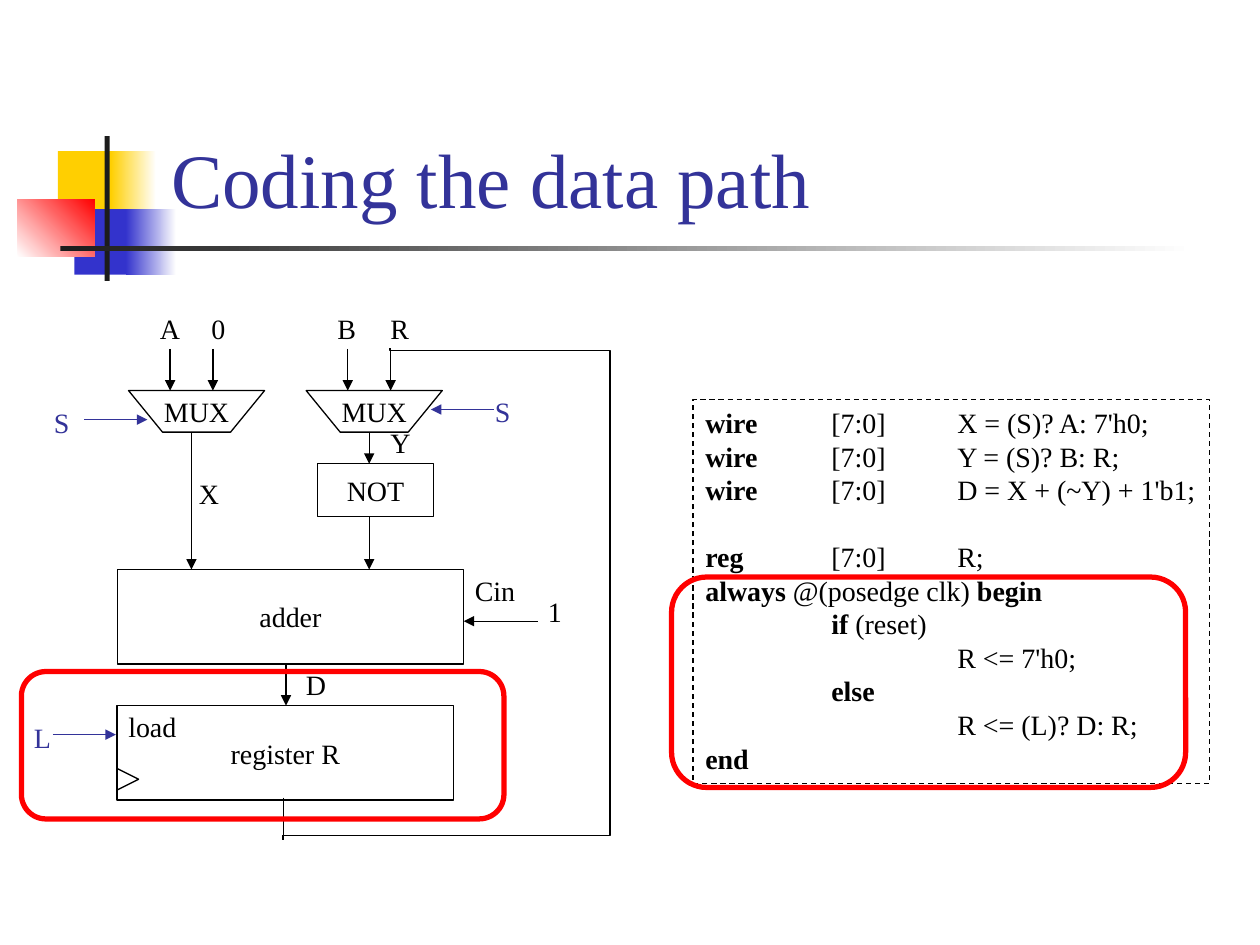
"""Build the slide on coding a data path: block diagram and Verilog listing."""
from lxml import etree
from pptx import Presentation
from pptx.dml.color import RGBColor
from pptx.enum.dml import MSO_LINE
from pptx.enum.shapes import MSO_CONNECTOR, MSO_SHAPE
from pptx.enum.text import MSO_ANCHOR, MSO_AUTO_SIZE, PP_ALIGN
from pptx.oxml.ns import qn
from pptx.util import Inches, Pt

RECT, ROUND, TRIANGLE = MSO_SHAPE.RECTANGLE, MSO_SHAPE.ROUNDED_RECTANGLE, MSO_SHAPE.ISOSCELES_TRIANGLE
STRAIGHT, ELBOW = MSO_CONNECTOR.STRAIGHT, MSO_CONNECTOR.ELBOW
FONT = "Times New Roman"
COLORS = {k: RGBColor.from_string(v) for k, v in {
    "black": "000000", "white": "FFFFFF", "navy": "333399", "blue": "3333CC",
    "yellow": "FFCF01", "red": "FF0000", "dark": "1C1C1C"}.items()}

prs = Presentation()
prs.slide_width, prs.slide_height = Inches(10), Inches(7.5)
s = prs.slides.add_slide(prs.slide_layouts[6])


def outline(sp, text="", color="black", width=0.75):
    sp.shadow.inherit = False
    sp.fill.background()
    sp.line.color.rgb = COLORS[color]
    sp.line.width = Pt(width)
    tf = sp.text_frame
    tf.word_wrap = False
    tf.vertical_anchor = MSO_ANCHOR.MIDDLE
    p = tf.paragraphs[0]
    p.text = text
    p.alignment = PP_ALIGN.CENTER
    p.font.name, p.font.size = FONT, Pt(16)
    p.font.color.rgb = COLORS["black"]
    return sp


def connect(x1, y1, x2, y2, color="black", arrow=True, kind=STRAIGHT):
    c = s.shapes.add_connector(kind, Inches(x1), Inches(y1), Inches(x2), Inches(y2))
    c.line.color.rgb = COLORS[color]
    c.line.width = Pt(0.75)
    if arrow:
        etree.SubElement(c.line._get_or_add_ln(), qn("a:tailEnd"), type="triangle")
    etree.SubElement(c._element.spPr, qn("a:effectLst"))
    return c


for x, y, w, h, start, end, angle in [
    (0.46, 1.2, 0.48, 0.52, "yellow", None, 0),
    (0.88, 1.2, 0.36, 0.52, "yellow", "white", 0),
    (0.59, 1.66, 0.46, 0.52, "blue", None, 0),
    (1, 1.66, 0.4, 0.52, "blue", "white", 0),
    (0.14, 1.58, 0.61, 0.46, "white", "red", 45),
    (0.83, 1.08, 0.04, 1.15, "dark", None, 0),
    (0.48, 1.95, 9, 0.04, "dark", "white", 0),
]:
    sp = s.shapes.add_shape(RECT, Inches(x), Inches(y), Inches(w), Inches(h))
    sp.shadow.inherit = False
    sp.line.fill.background()
    if end:
        sp.fill.gradient()
        sp.fill.gradient_angle = angle
        for stop, color in zip(sp.fill.gradient_stops, (start, end)):
            stop.color.rgb = COLORS[color]
    else:
        sp.fill.solid()
        sp.fill.fore_color.rgb = COLORS[start]

sp = s.shapes.add_textbox(Inches(1.26), Inches(0.23), Inches(8.52), Inches(1.6))
tf = sp.text_frame
tf.word_wrap = True
tf.vertical_anchor = MSO_ANCHOR.BOTTOM
p = tf.paragraphs[0]
p.text = "Coding the data path"
p.font.name, p.font.size = FONT, Pt(44)
p.font.color.rgb = COLORS["navy"]

for x in (1.02, 2.43):
    fb = s.shapes.build_freeform(Inches(x), Inches(3.1))
    fb.add_line_segments([(Inches(x + dx), Inches(y)) for dx, y in
                          ((0.27, 3.43), (0.81, 3.43), (1.08, 3.1))], close=True)
    outline(fb.convert_to_shape(), "MUX")
    for dx in (0.33, 0.67):
        connect(x + dx, 2.77, x + dx, 3.1)

for x, y, w, h, text in [
    (2.52, 3.68, 0.92, 0.42, "NOT"),
    (0.93, 4.52, 2.75, 0.75, "adder"),
    (0.93, 5.6, 2.67, 0.75, "register R"),
]:
    outline(s.shapes.add_shape(RECT, Inches(x), Inches(y), Inches(w), Inches(h)), text)

sp = s.shapes.add_shape(TRIANGLE, Inches(0.93), Inches(6.1), Inches(0.17), Inches(0.17))
outline(sp).rotation = 90

for ends in [(1.52, 3.43, 1.52, 4.52), (2.93, 3.43, 2.93, 3.68), (2.93, 4.1, 2.93, 4.52),
             (4.27, 4.93, 3.68, 4.93), (2.27, 5.27, 2.27, 5.6)]:
    connect(*ends)
for ends in [(0.42, 5.83, 0.92, 5.83), (0.67, 3.33, 1.17, 3.33), (3.92, 3.25, 3.42, 3.25)]:
    connect(*ends, color="navy")
connect(2.25, 6.33, 2.25, 6.67, arrow=False)

feedback = connect(4.62, 5.14, 0.72, 4.29, arrow=False, kind=ELBOW)
feedback._element.spPr.xfrm.set("rot", "16200000")
geom = feedback._element.spPr.find(qn("a:prstGeom"))
geom.set("prst", "bentConnector5")
guides = geom.find(qn("a:avLst"))
if guides is None:
    guides = etree.SubElement(geom, qn("a:avLst"))
for i, value in enumerate((400, -205500, 99200), 1):
    etree.SubElement(guides, qn("a:gd"), name=f"adj{i}", fmla=f"val {value}")

for text, x, y, w, color in [
    ("A", 1.17, 2.42, 0.36, "black"), ("0", 1.58, 2.42, 0.31, "black"),
    ("B", 2.58, 2.42, 0.35, "black"), ("R", 3, 2.42, 0.35, "black"),
    ("X", 1.48, 3.73, 0.36, "black"), ("Y", 3, 3.33, 0.36, "black"),
    ("Cin", 3.67, 4.5, 0.52, "black"), ("1", 4.25, 4.67, 0.31, "black"),
    ("D", 2.33, 5.25, 0.36, "black"), ("load", 0.92, 5.58, 0.59, "black"),
    ("L", 0.17, 5.67, 0.34, "navy"), ("S", 0.33, 3.17, 0.32, "navy"),
    ("S", 3.83, 3.08, 0.32, "navy"),
]:
    tf = s.shapes.add_textbox(Inches(x), Inches(y), Inches(w), Inches(0.37)).text_frame
    tf.word_wrap = False
    tf.auto_size = MSO_AUTO_SIZE.SHAPE_TO_FIT_TEXT
    p = tf.paragraphs[0]
    p.text = text
    p.font.name, p.font.size = FONT, Pt(16)
    p.font.color.rgb = COLORS[color]

CODE = [
    ("wire", "\t[7:0]\tX = (S)? A: 7'h0;"),
    ("wire", "\t[7:0]\tY = (S)? B: R;"),
    ("wire", "\t[7:0]\tD = X + (~Y) + 1'b1;"),
    ("reg", "\t[7:0]\tR;"),
    ("always", " @(posedge clk) ", "begin"),
    ("", "\t", "if", " (reset)"),
    ("", "\t\tR <= 7'h0;"),
    ("", "\t", "else"),
    ("", "\t\tR <= (L)? D: R;"),
    ("end",),
]
sp = outline(s.shapes.add_shape(RECT, Inches(5.5), Inches(3.17), Inches(4.1), Inches(3.05)))
sp.line.dash_style = MSO_LINE.DASH
tf = sp.text_frame
tf.vertical_anchor = MSO_ANCHOR.TOP
for i, parts in enumerate(CODE):
    p = tf.paragraphs[0] if i == 0 else tf.add_paragraph()
    p.alignment = PP_ALIGN.LEFT
    p.font.name, p.font.size = FONT, Pt(16)
    p.font.color.rgb = COLORS["black"]
    if parts[0] == "reg":
        p.space_before = Pt(19)
    pPr = p._p.get_or_add_pPr()
    tabs = etree.Element(qn("a:tabLst"))
    for stop in (1, 2):
        etree.SubElement(tabs, qn("a:tab"), pos=str(Inches(stop)), algn="l")
    pPr.find(qn("a:defRPr")).addprevious(tabs)
    for j, part in enumerate(parts):
        if part:
            r = p.add_run()
            r.text = part
            r.font.bold = j % 2 == 0

for x, y, w, h in [(0.17, 5.33, 3.83, 1.17), (5.33, 4.58, 4.08, 1.67)]:
    sp = s.shapes.add_shape(ROUND, Inches(x), Inches(y), Inches(w), Inches(h))
    outline(sp, color="red", width=3)

prs.save("out.pptx")
